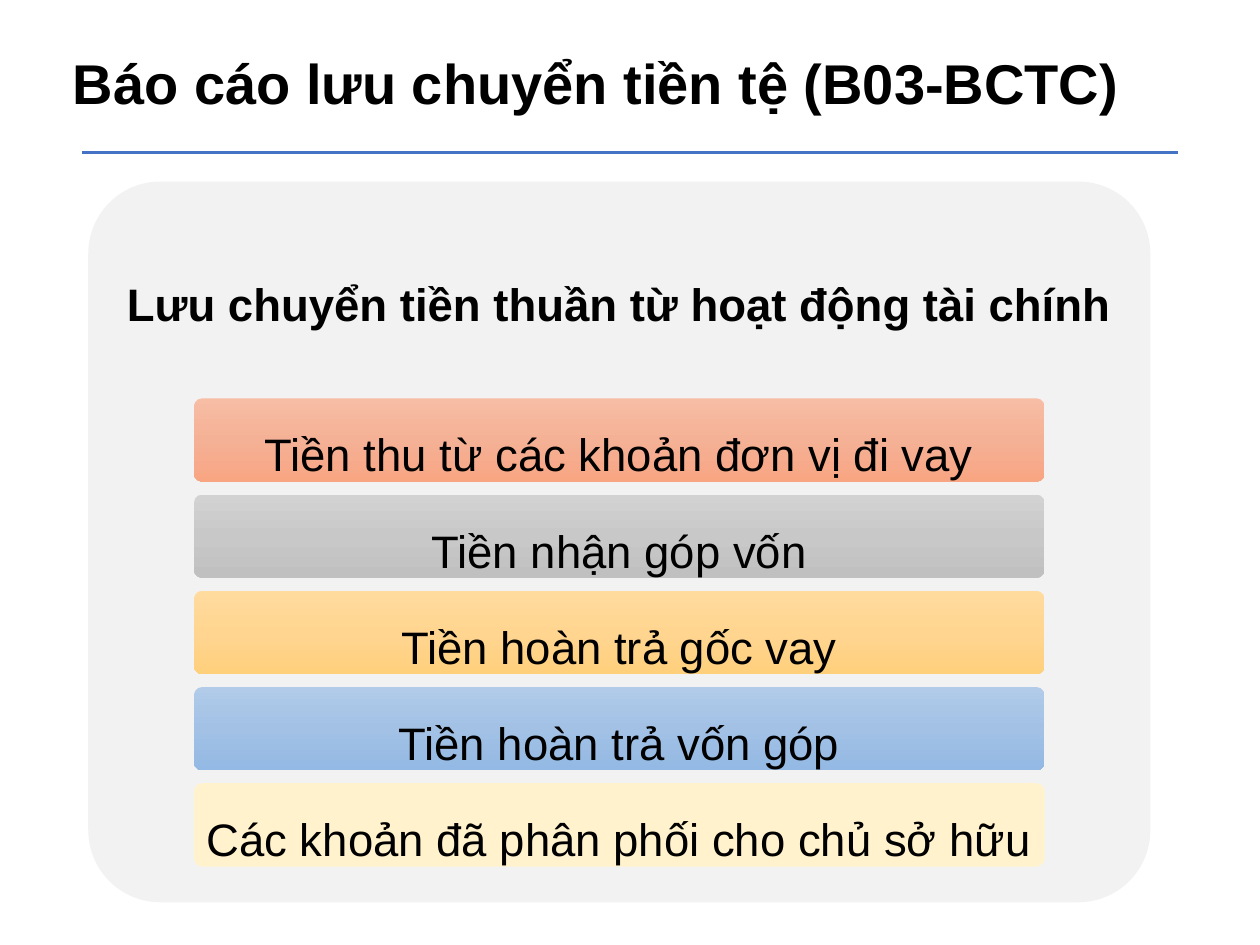
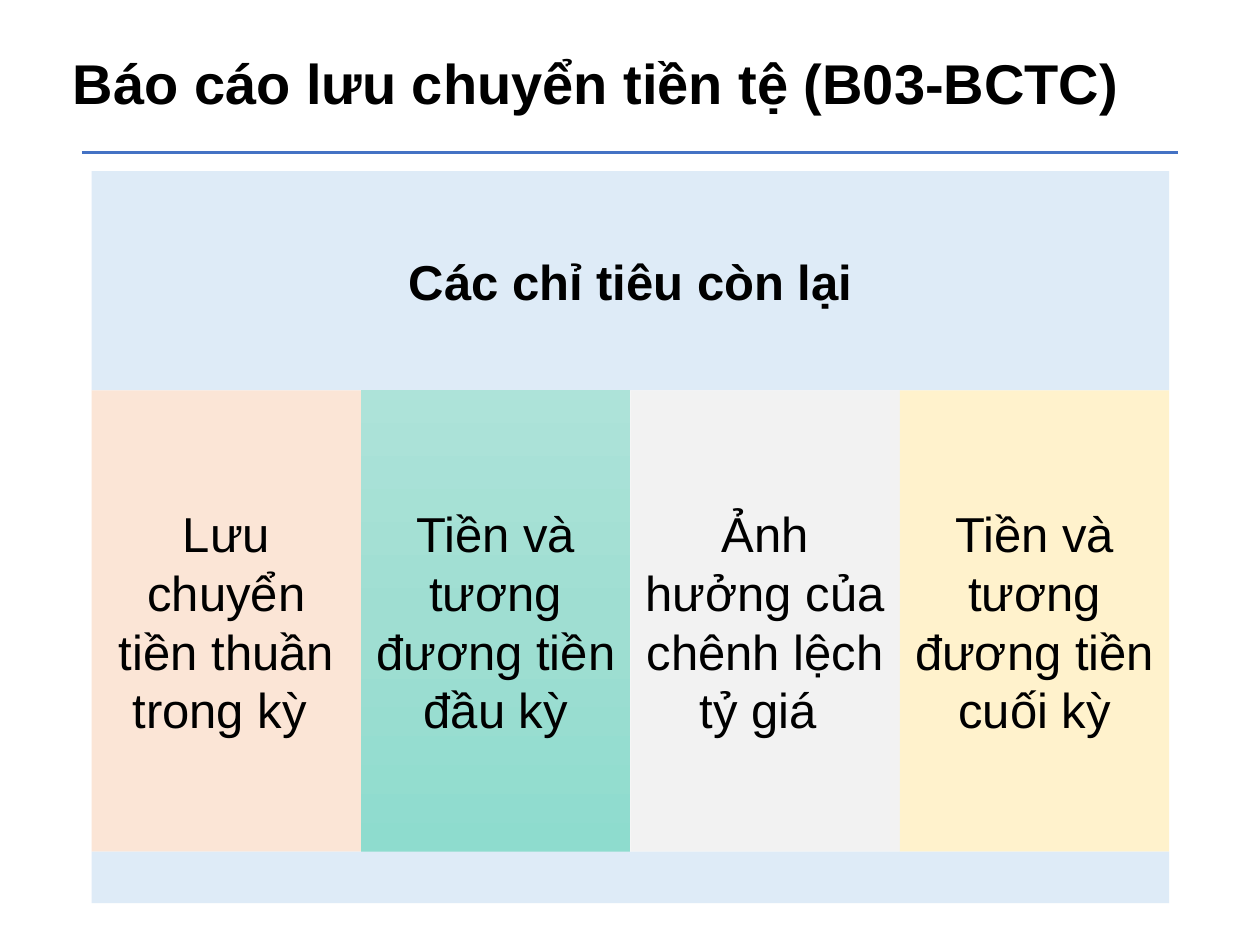
import lxml.etree
import pptx
import pptx.dml.color
import pptx.enum.dml
import pptx.enum.shapes
import pptx.enum.text
import pptx.oxml.ns
import pptx.util

Cm = pptx.util.Cm
RGBColor = pptx.dml.color.RGBColor
PP_ALIGN = pptx.enum.text.PP_ALIGN
RECT = pptx.enum.shapes.MSO_SHAPE.RECTANGLE
ROUNDED = pptx.enum.shapes.MSO_SHAPE.ROUNDED_RECTANGLE

# Shared look
FONT = "Arial"
TITLE = "Báo cáo lưu chuyển tiền tệ (B03-BCTC)"
BLACK = RGBColor(0x00, 0x00, 0x00)
RULE_BLUE = RGBColor(0x44, 0x72, 0xC4)
PALE_GREY = RGBColor(0xF2, 0xF2, 0xF2)
PALE_BLUE = RGBColor(0xDE, 0xEB, 0xF7)
PALE_ORANGE = RGBColor(0xFB, 0xE5, 0xD6)
PALE_YELLOW = RGBColor(0xFF, 0xF2, 0xCC)

# Gradients: top, middle and bottom colour
ORANGE = (RGBColor(0xF7, 0xBD, 0xA5), RGBColor(0xF5, 0xB1, 0x96), RGBColor(0xF8, 0xA5, 0x82))
GREY = (RGBColor(0xD2, 0xD2, 0xD2), RGBColor(0xC8, 0xC8, 0xC8), RGBColor(0xC0, 0xC0, 0xC0))
GOLD = (RGBColor(0xFF, 0xDB, 0x9E), RGBColor(0xFF, 0xD5, 0x90), RGBColor(0xFF, 0xD0, 0x7C))
BLUE = (RGBColor(0xB1, 0xCB, 0xE9), RGBColor(0xA3, 0xC1, 0xE5), RGBColor(0x93, 0xB9, 0xE4))
TEAL = (RGBColor(0xAD, 0xE3, 0xD9), RGBColor(0x9F, 0xDE, 0xD2), RGBColor(0x8E, 0xDC, 0xCE))


def write_text(shape, text, size, bold=False, align=PP_ALIGN.CENTER,
               spacing=None, inset=(0.3, 0.3)):
    """Write one paragraph; inset is the side and the top/bottom margin in cm."""
    frame = shape.text_frame
    frame.word_wrap = True
    frame.vertical_anchor = pptx.enum.text.MSO_ANCHOR.MIDDLE
    frame.margin_left = frame.margin_right = Cm(inset[0])
    frame.margin_top = frame.margin_bottom = Cm(inset[1])
    paragraph = frame.paragraphs[0]
    paragraph.alignment = align
    if spacing:
        paragraph.line_spacing = spacing
    run = paragraph.add_run()
    run.text = text
    run.font.name = FONT
    run.font.size = pptx.util.Pt(size)
    run.font.bold = bold
    run.font.color.rgb = BLACK


def fill_gradient(shape, colours):
    """Fill from top to bottom with evenly spaced colour stops."""
    shape.fill.gradient()
    shape.fill.gradient_angle = 270
    qn = pptx.oxml.ns.qn
    stops = shape._element.spPr.find(qn("a:gradFill")).find(qn("a:gsLst"))
    for stop in list(stops):
        stops.remove(stop)
    for i, colour in enumerate(colours):
        position = 100000 * i // (len(colours) - 1)
        stop = lxml.etree.SubElement(stops, qn("a:gs"), pos=str(position))
        lxml.etree.SubElement(stop, qn("a:srgbClr"), val=str(colour))


def add_block(slide, preset, left, top, width, height, colour):
    """Add an unlined block; colour is one RGBColor or a tuple of gradient colours."""
    block = slide.shapes.add_shape(preset, Cm(left), Cm(top), Cm(width), Cm(height))
    block.shadow.inherit = False
    block.line.fill.background()
    if preset == ROUNDED:
        block.adjustments[0] = 0.1
    if isinstance(colour, RGBColor):
        block.fill.solid()
        block.fill.fore_color.rgb = colour
    else:
        fill_gradient(block, colour)
    return block


def add_titled_slide(deck):
    slide = deck.slides.add_slide(deck.slide_layouts[6])
    rule = slide.shapes.add_connector(
        pptx.enum.shapes.MSO_CONNECTOR.STRAIGHT, Cm(1.65), Cm(3.07), Cm(23.75), Cm(3.07))
    rule.line.color.rgb = RULE_BLUE
    rule.line.width = pptx.util.Pt(1.5)
    lxml.etree.SubElement(rule._element.spPr, pptx.oxml.ns.qn("a:effectLst"))
    title = slide.shapes.add_textbox(Cm(1.22), Cm(0.84), Cm(21.97), Cm(1.63))
    write_text(title, TITLE, 32, bold=True, align=PP_ALIGN.JUSTIFY, inset=(0.25, 0.13))
    return slide


def add_financing_slide(deck):
    slide = add_titled_slide(deck)
    left, top, width = 1.78, 3.66, 21.41
    add_block(slide, ROUNDED, left, top, width, 14.53, PALE_GREY)
    heading = slide.shapes.add_textbox(Cm(left), Cm(top), Cm(width), Cm(4.37))
    write_text(heading, "Lưu chuyển tiền thuần từ hoạt động tài chính", 26,
               bold=True, spacing=1.5, inset=(0.28, 0.28))

    # Stacked cash flow items
    cash_flows = [
        ("Tiền thu từ các khoản đơn vị đi vay", ORANGE),
        ("Tiền nhận góp vốn", GREY),
        ("Tiền hoàn trả gốc vay", GOLD),
        ("Tiền hoàn trả vốn góp", BLUE),
        ("Các khoản đã phân phối cho chủ sở hữu", PALE_YELLOW),
    ]
    for i, (text, colour) in enumerate(cash_flows):
        bar = add_block(slide, ROUNDED, 3.91, 8.03 + 1.94 * i, 17.15, 1.68, colour)
        write_text(bar, text, 26, spacing=1.5, inset=(0.16, 0.13))


def add_remaining_items_slide(deck):
    slide = add_titled_slide(deck)
    left, top, width = 1.85, 3.45, 21.72
    header_height, column_height = 4.42, 9.3
    header = add_block(slide, RECT, left, top, width, header_height, PALE_BLUE)
    write_text(header, "Các chỉ tiêu còn lại", 28, bold=True)

    # Equal columns under the header
    items = [
        ("Lưu chuyển tiền thuần trong kỳ ", PALE_ORANGE),
        ("Tiền và tương đương tiền đầu kỳ", TEAL),
        ("Ảnh hưởng của chênh lệch tỷ giá ", PALE_GREY),
        ("Tiền và tương đương tiền cuối kỳ", PALE_YELLOW),
    ]
    column_top = top + header_height
    column_width = width / len(items)
    for i, (text, colour) in enumerate(items):
        column = add_block(slide, RECT, left + column_width * i, column_top,
                           column_width, column_height, colour)
        write_text(column, text, 28)

    # Closing band
    add_block(slide, RECT, left, column_top + column_height, width, 1.04, PALE_BLUE)


def main():
    deck = pptx.Presentation()
    deck.slide_width, deck.slide_height = Cm(25.4), Cm(19.05)
    add_financing_slide(deck)
    add_remaining_items_slide(deck)
    deck.save("out.pptx")


if __name__ == "__main__":
    main()
